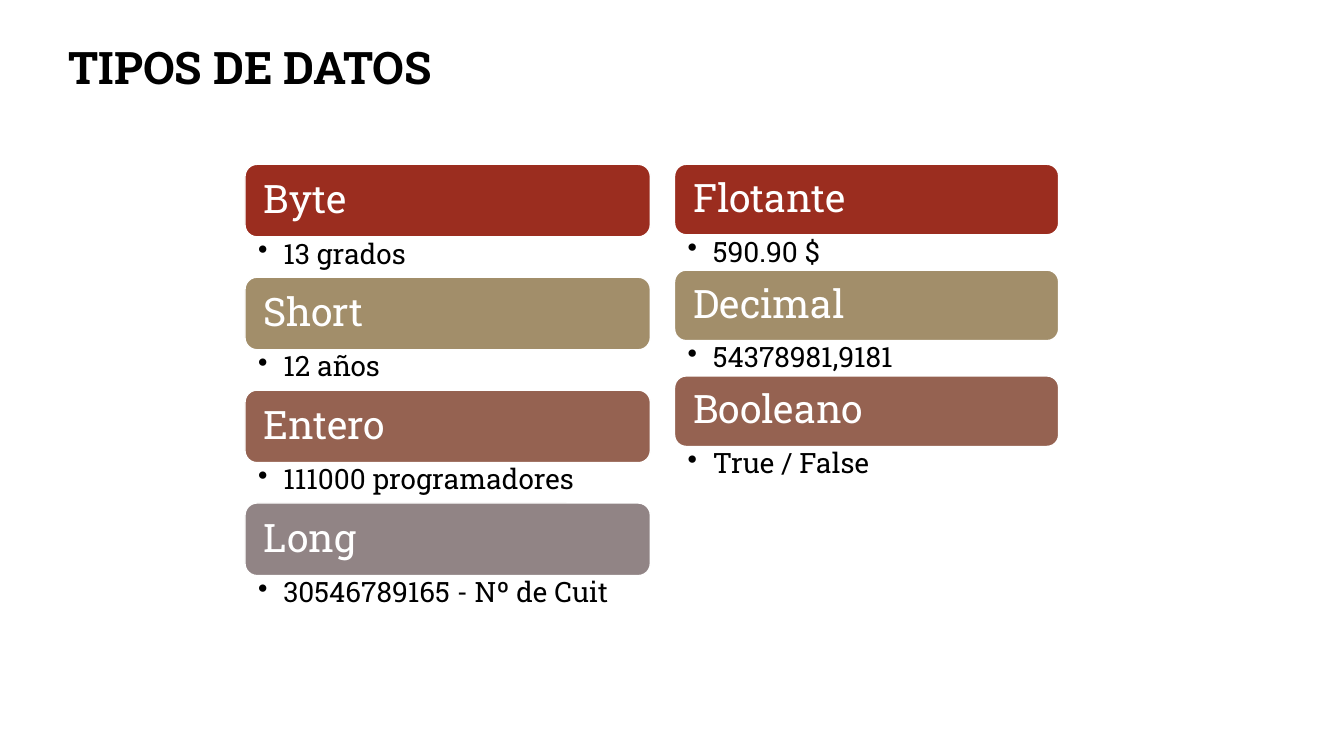
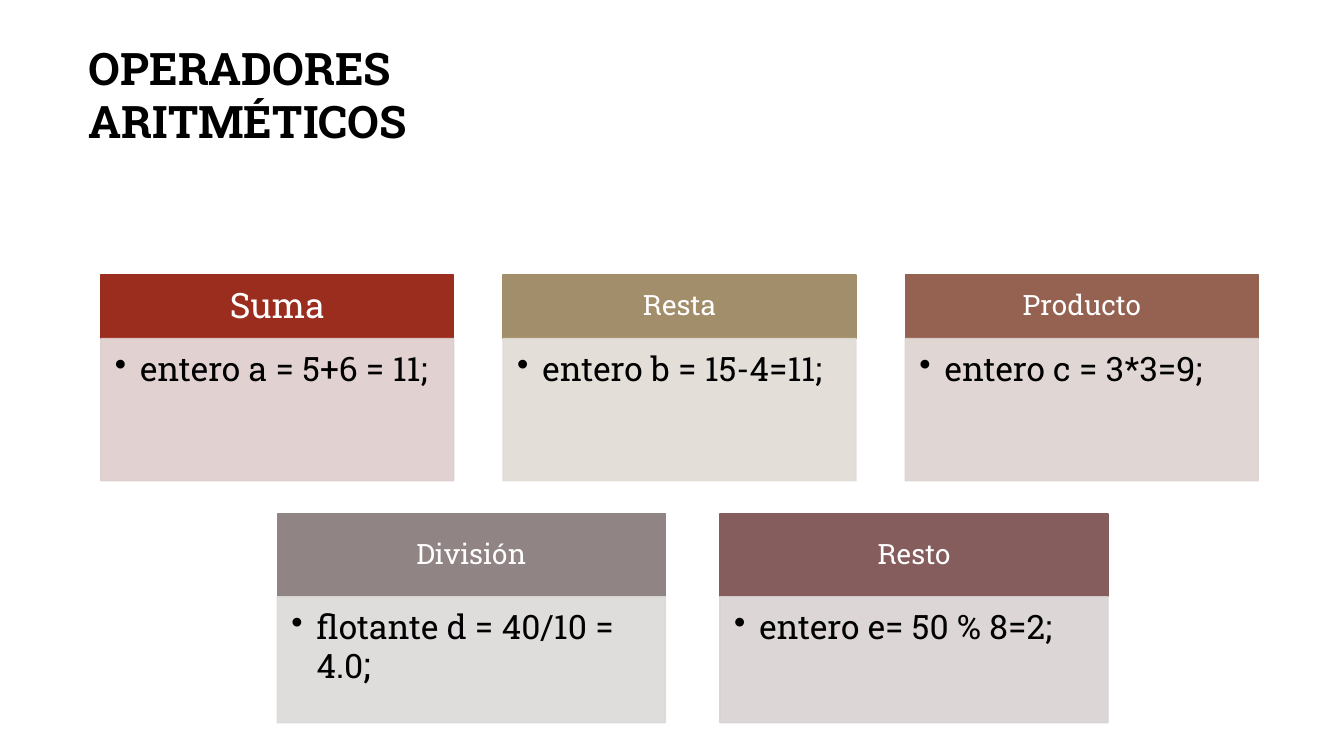
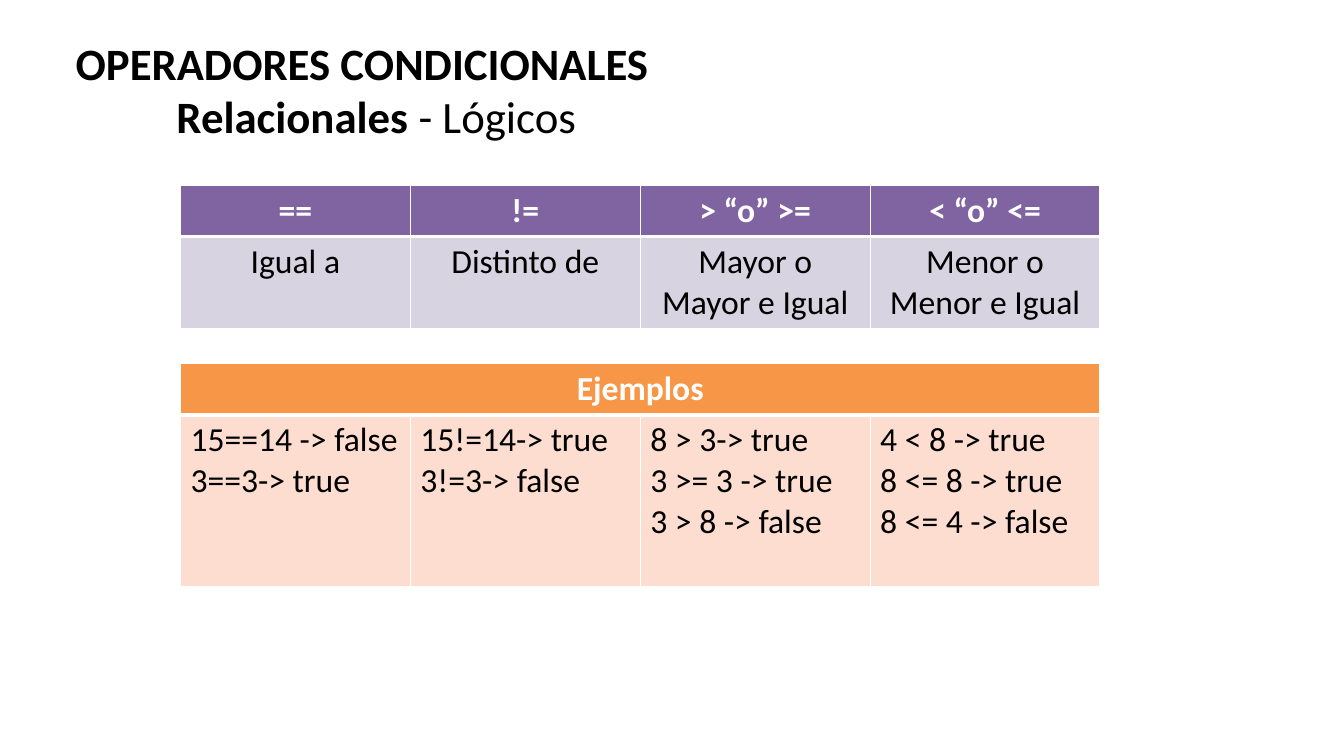
from lxml import etree
from pptx import Presentation
from pptx.dml.color import RGBColor
from pptx.enum.shapes import MSO_SHAPE
from pptx.enum.text import MSO_ANCHOR, MSO_AUTO_SIZE, PP_ALIGN
from pptx.oxml.ns import qn
from pptx.util import Pt

PX = 9144  # EMU per px, 100 px to the inch
RECT, ROUND = MSO_SHAPE.RECTANGLE, MSO_SHAPE.ROUNDED_RECTANGLE
TOP, MIDDLE = MSO_ANCHOR.TOP, MSO_ANCHOR.MIDDLE
LEFT, CENTER = PP_ALIGN.LEFT, PP_ALIGN.CENTER
NO_FIT = MSO_AUTO_SIZE.NONE
TITLE_ONLY = 5

COLORS = {
    "black": "000000", "white": "FFFFFF",
    "red": "9B2D1F", "sand": "A28E6A", "clay": "956251",
    "gray": "918485", "wine": "855D5D",
    "red_tint": "DECDCD", "sand_tint": "E0DBD4", "clay_tint": "DDD3D0",
    "gray_tint": "DCD9D9", "wine_tint": "D9D2D2",
    "purple": "8064A2", "lilac": "D8D3E0",
    "orange": "F79646", "peach": "FCDDCF",
}
SLAB, SANS = "Roboto Slab", "Calibri"


def rgb(name):
    return RGBColor.from_string(COLORS[name])


class Deck:
    """Holds the presentation, its style and the current slide."""

    def __init__(self, width, height):
        self.prs = Presentation()
        self.prs.slide_width, self.prs.slide_height = width * PX, height * PX
        self.s = None

    def slide(self):
        layout = self.prs.slide_layouts[TITLE_ONLY]
        self.s = self.prs.slides.add_slide(layout)

    def frame(self, tf, insets, anchor):
        values = dict(zip(("margin_left", "margin_top", "margin_right",
                           "margin_bottom"), (i * PX for i in insets)))
        values.update(word_wrap=True, auto_size=NO_FIT, vertical_anchor=anchor)
        for name, value in values.items():
            setattr(tf, name, value)

    def put_text(self, p, runs, align=LEFT, spacing=None, **font):
        """Fill a paragraph; a run is text or (text, font overrides)."""
        p.alignment = align
        if spacing:
            p.line_spacing = spacing
        for run in [runs] if isinstance(runs, str) else runs:
            text, own = (run, {}) if isinstance(run, str) else run
            style = {"name": SLAB, "size": 20, "bold": False,
                     "color": "black", **font, **own}
            r = p.add_run()
            r.text = text
            r.font.color.rgb = rgb(style.pop("color"))
            style["size"] = Pt(style["size"])
            for name, value in style.items():
                setattr(r.font, name, value)

    def indent(self, p, left, first=0, bullet=None):
        pPr = p._p.get_or_add_pPr()
        pPr.set("marL", str(left * PX))
        pPr.set("indent", str(first * PX))
        if bullet:
            etree.SubElement(pPr, qn("a:buChar")).set("char", bullet)

    def title(self, x, y, w, h, lines, font=SLAB, second_indent=100):
        sp = self.s.shapes.title
        sp.left, sp.top, sp.width, sp.height = (v * PX for v in (x, y, w, h))
        tf = sp.text_frame
        self.frame(tf, (10, 5, 10, 5), TOP)
        for i, runs in enumerate(lines):
            p = tf.add_paragraph() if i else tf.paragraphs[0]
            self.put_text(p, runs, name=font, size=32, bold=True)
            if i:
                self.indent(p, second_indent)

    def box(self, kind, x, y, w, h, fill, line, alpha=None):
        sp = self.s.shapes.add_shape(kind, *(v * PX for v in (x, y, w, h)))
        sp.shadow.inherit = False
        sp.fill.solid()
        sp.fill.fore_color.rgb = rgb(fill)
        sp.line.color.rgb = rgb(line)
        sp.line.width = Pt(1)
        if alpha:
            for clr in sp._element.spPr.iter(qn("a:srgbClr")):
                etree.SubElement(clr, qn("a:alpha")).set("val", str(alpha * 1000))
        return sp

    def label(self, sp, text, size, align):
        self.frame(sp.text_frame, (15, 10, 15, 10), MIDDLE)
        self.put_text(sp.text_frame.paragraphs[0], text, align, 0.9,
                      size=size, color="white")

    def bullet(self, sp, runs, size, insets):
        self.frame(sp.text_frame, insets, TOP)
        p = sp.text_frame.paragraphs[0]
        self.put_text(p, runs, spacing=0.9, size=size)
        self.indent(p, 25, -25, "•")

    def type_list(self, x, y, w, bar_h, note_h, items):
        """Stack of coloured bars, each with an example below it."""
        for i, (name, example, color) in enumerate(items):
            top = y + i * (bar_h + note_h)
            bar = self.box(ROUND, x, top, w, bar_h, color, "white")
            self.label(bar, name, 28, LEFT)
            note = self.s.shapes.add_textbox(
                *(v * PX for v in (x, top + bar_h, w, note_h)))
            self.bullet(note, example, 20, (13, 3, 16, 3))

    def card_row(self, x, y, w, pitch, head_h, body_h, cards):
        """Row of cards with a heading above a tinted body."""
        for i, (name, size, code, color) in enumerate(cards):
            left = x + i * pitch
            head = self.box(RECT, left, y, w, head_h, color, color)
            self.label(head, name, size, CENTER)
            tint = color + "_tint"
            body = self.box(RECT, left, y + head_h, w, body_h, tint, tint, 90)
            self.bullet(body, code, 24, (14, 14, 19, 21))

    def borders(self, cell, **widths):
        tcPr = cell._tc.get_or_add_tcPr()
        for side in "LRTB":
            ln = etree.SubElement(tcPr, qn("a:ln" + side))
            ln.set("w", str(Pt(widths.get(side, 1))))
            fill = etree.SubElement(ln, qn("a:solidFill"))
            etree.SubElement(fill, qn("a:srgbClr")).set("val", COLORS["white"])

    def table(self, x, y, col_w, heights, heads, body, fills, body_align):
        """Two-row table; a single heading spans all columns."""
        n = len(body)
        tbl = self.s.shapes.add_table(2, n, *(v * PX for v in (
            x, y, col_w * n, sum(heights)))).table
        for col in tbl.columns:
            col.width = col_w * PX
        heads = [[h] for h in heads] + [[]] * (n - len(heads))
        rows = ((heads, CENTER, "white", {"B": 3}),
                (body, body_align, "black", {"T": 3}))
        for r, (cells, align, color, edge) in enumerate(rows):
            tbl.rows[r].height = heights[r] * PX
            for c, lines in enumerate(cells):
                cell = tbl.cell(r, c)
                self.borders(cell, **edge)
                cell.fill.solid()
                cell.fill.fore_color.rgb = rgb(fills[r])
                for i, text in enumerate(lines):
                    tf = cell.text_frame
                    p = tf.add_paragraph() if i else tf.paragraphs[0]
                    self.put_text(p, text, align, name=SANS, size=24,
                                  bold=r == 0, color=color)
        if not heads[-1]:
            tbl.cell(0, 0).merge(tbl.cell(0, n - 1))


def main():
    deck = Deck(1333, 750)

    # Data types
    deck.slide()
    deck.title(58, 34, 503, 64, ["TIPOS DE DATOS"])
    deck.type_list(243, 163, 402, 72, 40, [
        ("Byte", "13 grados", "red"),
        ("Short", "12 años", "sand"),
        ("Entero", "111000 programadores", "clay"),
        ("Long", "30546789165 - Nº de Cuit", "gray"),
    ])
    deck.type_list(669, 163, 381, 70, 35, [
        ("Flotante", "590.90 $", "red"),
        ("Decimal", "54378981,9181", "sand"),
        ("Booleano", "True / False", "clay"),
    ])

    # Arithmetic operators
    deck.slide()
    deck.title(78, 35, 551, 64, ["OPERADORES ARITMÉTICOS"])
    deck.card_row(100, 273, 350, 399, 63, 141, [
        ("Suma", 25, "entero a = 5+6 = 11;", "red"),
        ("Resta", 20, "entero b = 15-4=11;", "sand"),
        ("Producto", 20, "entero c = 3*3=9;", "clay"),
    ])
    deck.card_row(275, 510, 385, 439, 82, 125, [
        ("División", 20, ["flotante d = 40/10 = 4.0", (";", {"size": 26})], "gray"),
        ("Resto", 20, "entero e= 50 % 8=2;", "wine"),
    ])

    # Conditional operators
    deck.slide()
    deck.title(65, 30, 773, 118, [
        "OPERADORES CONDICIONALES",
        ["Relacionales", (" - Lógicos", {"bold": False})],
    ], font=SANS)
    deck.table(179, 184, 228, (50, 90),
               ["==", "!=", "> “o” >=", "< “o” <="],
               [["Igual a"], ["Distinto de"], ["Mayor o Mayor e Igual"],
                ["Menor o", "Menor e Igual"]],
               ("purple", "lilac"), CENTER)
    deck.table(179, 361, 228, (50, 170), ["Ejemplos"],
               [["15==14 -> false", "3==3-> true"],
                ["15!=14-> true", "3!=3-> false"],
                ["8 > 3-> true", "3 >= 3 -> true", "3 > 8 -> false"],
                ["4 < 8 -> true", "8 <= 8 -> true", "8 <= 4 -> false"]],
               ("orange", "peach"), LEFT)

    deck.prs.save("out.pptx")


if __name__ == "__main__":
    main()
